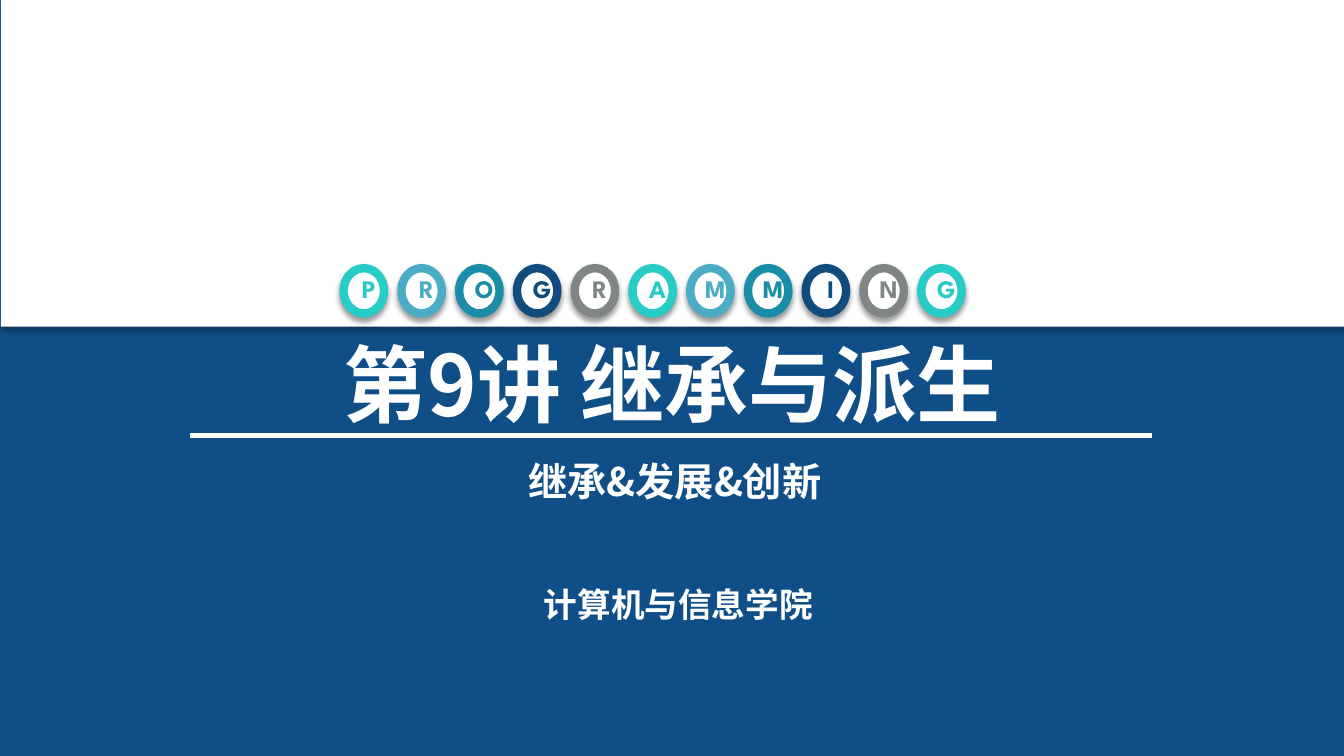
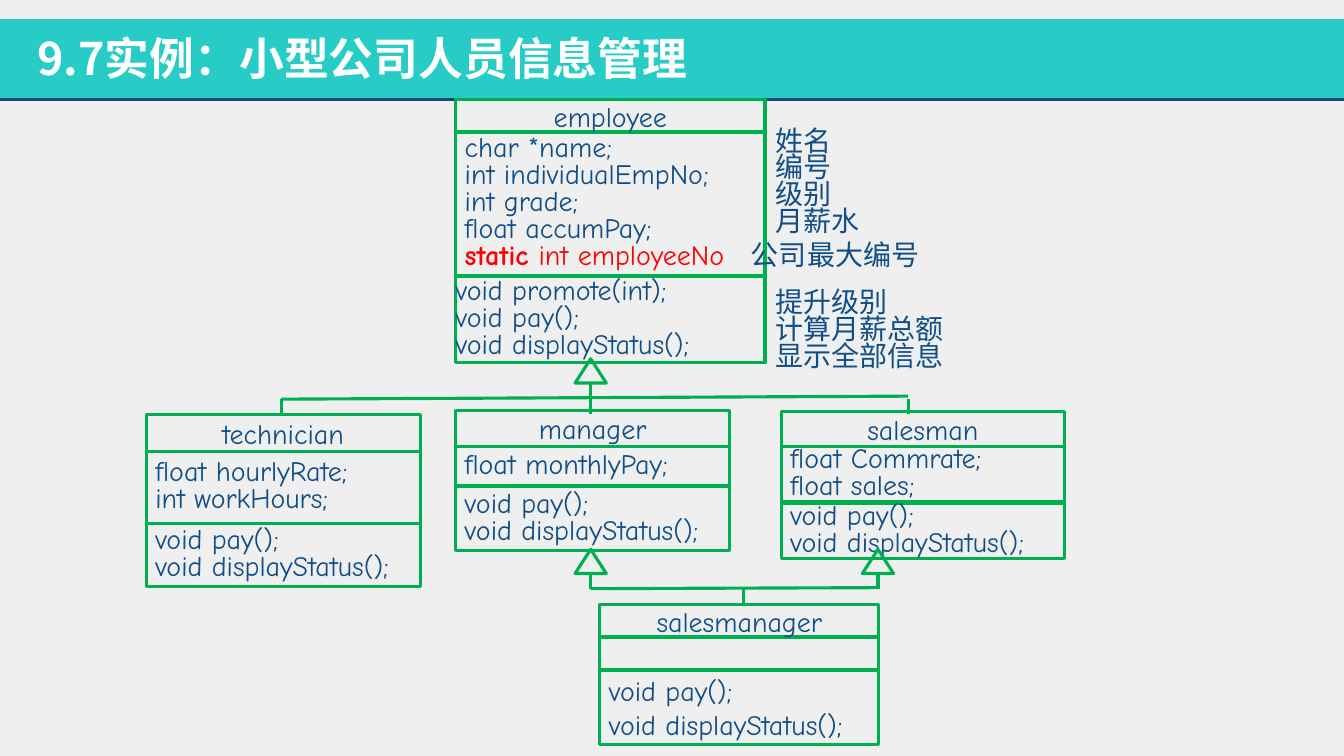
from itertools import cycle

from lxml import etree
from pptx import Presentation
from pptx import util as u
from pptx.dml.color import RGBColor
from pptx.enum import shapes, text
from pptx.oxml import ns

# Lengths are counted in square grid cells; the slide is COLUMNS x ROWS cells.
CELL = u.Inches(0.1)
COLUMNS, ROWS = 133.33, 75

WHITE, PALE = "FFFFFF", "EFEFEF"
BLUE, NAVY = "104E87", "104D7E"
TEAL, GREEN, RED = "26CCC5", "00B050", "FF0000"
BADGE_COLORS = (TEAL, "4BACC6", "1B8DA8", NAVY, "808684")

CJK_FONT, CODE_FONT, DISPLAY_FONT = "Noto Sans CJK JP", "Comic Neue", "League Spartan"

LEFT, CENTER = text.PP_ALIGN.LEFT, text.PP_ALIGN.CENTER
RECTANGLE = shapes.MSO_SHAPE.RECTANGLE


def cells(*counts):
    return [round(count * CELL) for count in counts]


def rgb(color):
    return RGBColor.from_string(color)


def add_effects(shape, shadow=None):
    """Replace inherited effects; shadow is (opacity %, blur pt, distance pt)."""
    effects = etree.SubElement(shape._element.spPr, ns.qn("a:effectLst"))
    if shadow:
        opacity, blur, distance = shadow
        outer = etree.SubElement(
            effects, ns.qn("a:outerShdw"), blurRad=str(u.Pt(blur)),
            dist=str(u.Pt(distance)), dir="5400000", rotWithShape="0")
        black = etree.SubElement(outer, ns.qn("a:srgbClr"), val="000000")
        etree.SubElement(black, ns.qn("a:alpha"), val=str(opacity * 1000))


def add_shape(slide, kind, box, fill=None, line=None, weight=2.25, shadow=None):
    shape = slide.shapes.add_shape(kind, *cells(*box))
    if fill:
        shape.fill.solid()
        shape.fill.fore_color.rgb = rgb(fill)
    else:
        shape.fill.background()
    if line:
        shape.line.color.rgb = rgb(line)
        shape.line.width = u.Pt(weight)
    else:
        shape.line.fill.background()
    add_effects(shape, shadow)
    return shape


def add_line(slide, start, end, color=GREEN, weight=2.25):
    line = slide.shapes.add_connector(
        shapes.MSO_CONNECTOR.STRAIGHT, *cells(*start, *end))
    line.line.color.rgb = rgb(color)
    line.line.width = u.Pt(weight)
    add_effects(line)


def style(paragraph, size, color, font=CJK_FONT, bold=False, align=LEFT, spacing=1.0):
    paragraph.alignment = align
    paragraph.line_spacing = spacing
    paragraph.space_before = u.Pt(0)
    paragraph.font.name = font
    paragraph.font.size = u.Pt(size)
    paragraph.font.bold = bold
    paragraph.font.color.rgb = rgb(color)
    etree.SubElement(paragraph.font._element, ns.qn("a:ea"), typeface=CJK_FONT)


def write(shape, lines, size, color, insets=(1, 0.5, 1, 0.5), wrap=True, **look):
    frame = shape.text_frame
    frame.word_wrap = wrap
    frame.auto_size = text.MSO_AUTO_SIZE.NONE
    frame.vertical_anchor = text.MSO_ANCHOR.MIDDLE
    (frame.margin_left, frame.margin_top,
     frame.margin_right, frame.margin_bottom) = cells(*insets)
    frame.text = "\n".join(lines)
    for paragraph in frame.paragraphs:
        style(paragraph, size, color, **look)


def place(placeholder, box):
    """Move a placeholder and bring it in front of what is already drawn."""
    (placeholder.left, placeholder.top,
     placeholder.width, placeholder.height) = cells(*box)
    placeholder._element.getparent().append(placeholder._element)
    return placeholder


def add_slide(presentation, layout_name, background):
    layout = presentation.slide_layouts.get_by_name(layout_name)
    slide = presentation.slides.add_slide(layout)
    slide.background.fill.solid()
    slide.background.fill.fore_color.rgb = rgb(background)
    return slide


def add_badges(slide, word, left, top, pitch=5.73, width=4, height=4.5):
    """Spell a word in a row of ringed letters."""
    for index, (letter, color) in enumerate(zip(word, cycle(BADGE_COLORS))):
        badge = add_shape(
            slide, shapes.MSO_SHAPE.OVAL, (left + index * pitch, top, width, height),
            WHITE, color, 6, shadow=(40, 4, 3))
        write(badge, [letter], 18, color, insets=(1, 0, 0, 0.4), wrap=False,
              font=DISPLAY_FONT, bold=True, align=CENTER)


def add_cover(presentation, title, subtitle, college, word):
    slide = add_slide(presentation, "Title Slide", BLUE)
    band = 32.4
    centered = dict(bold=True, align=CENTER)
    add_shape(slide, RECTANGLE, (0.1, 0, COLUMNS, band), WHITE, shadow=(35, 3.1, 1.8))
    write(place(slide.shapes.title, (0, band, COLUMNS, 11.1)),
          [title], 60, WHITE, **centered)
    add_badges(slide, word, 34.1, 26.6)
    add_line(slide, (18.9, 43.2), (114.3, 43.2), WHITE, 3)
    write(place(slide.placeholders[1], (36.9, 45.3, 60.1, 5.4)),
          [subtitle], 28, WHITE, spacing=0.9, **centered)
    college_box = slide.shapes.add_textbox(*cells(1.3, 57.9, 132, 4.6))
    write(college_box, [college], 24, WHITE, font=DISPLAY_FONT, spacing=0.9, **centered)


def add_content_slide(presentation, title):
    slide = add_slide(presentation, "Title Only", PALE)
    top, height = 1.9, 8
    add_shape(slide, RECTANGLE, (0, top, COLUMNS, height), TEAL)
    write(place(slide.shapes.title, (2.7, top + 0.6, 90.5, 6.4)),
          [title], 32, WHITE, bold=True)
    add_line(slide, (0, top + height), (COLUMNS, top + height), NAVY, 2)
    return slide


def add_class(slide, box, name, attributes, methods, heights,
              gap=0.1, method_inset=0.9, spacing=0.8):
    """Stack name, attribute and method compartments from the box's top."""
    left, top, width = box
    name_height, attribute_height, method_height = heights
    attribute_top = top + name_height
    method_top = attribute_top + attribute_height + gap
    compartments = (
        (attribute_top, attribute_height, attributes, 0.9, LEFT, spacing),
        (method_top, method_height, methods, method_inset, LEFT, spacing),
        (top, name_height, [name], 0, CENTER, 1.0),
    )
    drawn = []
    for row, height, lines, inset, align, line_spacing in compartments:
        shape = add_shape(slide, RECTANGLE, (left, row, width, height), line=GREEN)
        if lines:
            write(shape, lines, 20, BLUE, insets=(inset, 0, 0, 0),
                  font=CODE_FONT, align=align, spacing=line_spacing)
        drawn.append(shape)
    return drawn[0]


def add_inheritance(slide, parents, children, tip, bar, bottom, rise):
    """Join parent arrowheads at row tip to children at row bottom through a bar."""
    width, height = 3.1, 2.4
    for column in parents:
        add_shape(slide, shapes.MSO_SHAPE.ISOSCELES_TRIANGLE,
                  (column - width / 2, tip, width, height), line=GREEN)
        add_line(slide, (column, tip + height), (column, bar))
    ends = parents + children
    add_line(slide, (min(ends), bar), (max(ends), bar - rise))
    for column in children:
        add_line(slide, (column, bar), (column, bottom))


def add_static_member(shape, keyword, declaration):
    paragraph = shape.text_frame.add_paragraph()
    paragraph.add_run().text = keyword + " "
    paragraph.add_run().text = declaration
    style(paragraph, 20, RED, font=CODE_FONT, spacing=0.8)
    paragraph.runs[0].font.bold = True


def add_labels(slide, left, middle, lines):
    height = 2.67 * len(lines)
    label = slide.shapes.add_textbox(*cells(left, middle - height / 2, 21.7, height))
    write(label, lines, 20, BLUE, insets=(0, 0, 0, 0), spacing=u.Pt(19.2))


def add_class_diagram(slide):
    common = ["void pay();", "void displayStatus();"]
    attributes = add_class(
        slide, (45.2, 9.9, 30.7), "employee",
        ["char *name;", "int individualEmpNo;", "int grade;", "float accumPay;"],
        ["void promote(int);"] + common, (3.2, 14.2, 8.6), method_inset=0)
    add_static_member(attributes, "static", "int employeeNo")
    add_class(slide, (14.5, 41.1, 27.2), "technician",
              ["float hourlyRate;", "int workHours;"], common,
              (3.7, 7.1, 6.3), gap=0)
    add_class(slide, (45.2, 40.7, 27.2), "manager",
              ["float monthlyPay;"], common, (3.6, 3.9, 6.3))
    add_class(slide, (77.5, 40.8, 28.1), "salesman",
              ["float Commrate;", "float sales;"], common, (3.5, 5.5, 5.5))
    add_class(slide, (59.5, 60, 27.7), "salesmanager",
              [], common, (3.2, 3.2, 7.4), spacing=1.0)

    add_inheritance(slide, [58.6], [27.9, 58.6, 90.1], 35.6, 39.6, 41.1, rise=0.3)
    add_inheritance(slide, [58.6, 87.1], [73.8], 54.5, 58.4, 60, rise=0.1)

    add_labels(slide, 76.9, 18.2, ["姓名", "编号", "级别", "月薪水"])
    add_labels(slide, 74.5, 25.6, ["公司最大编号"])
    add_labels(slide, 76.9, 32.9, ["提升级别", "计算月薪总额", "显示全部信息"])


def main():
    presentation = Presentation()
    presentation.slide_width, presentation.slide_height = cells(COLUMNS, ROWS)
    add_cover(presentation, "第9讲 继承与派生", "继承&发展&创新",
              "计算机与信息学院", "PROGRAMMING")
    add_class_diagram(add_content_slide(presentation, "9.7实例：小型公司人员信息管理"))
    presentation.save("out.pptx")


if __name__ == "__main__":
    main()
